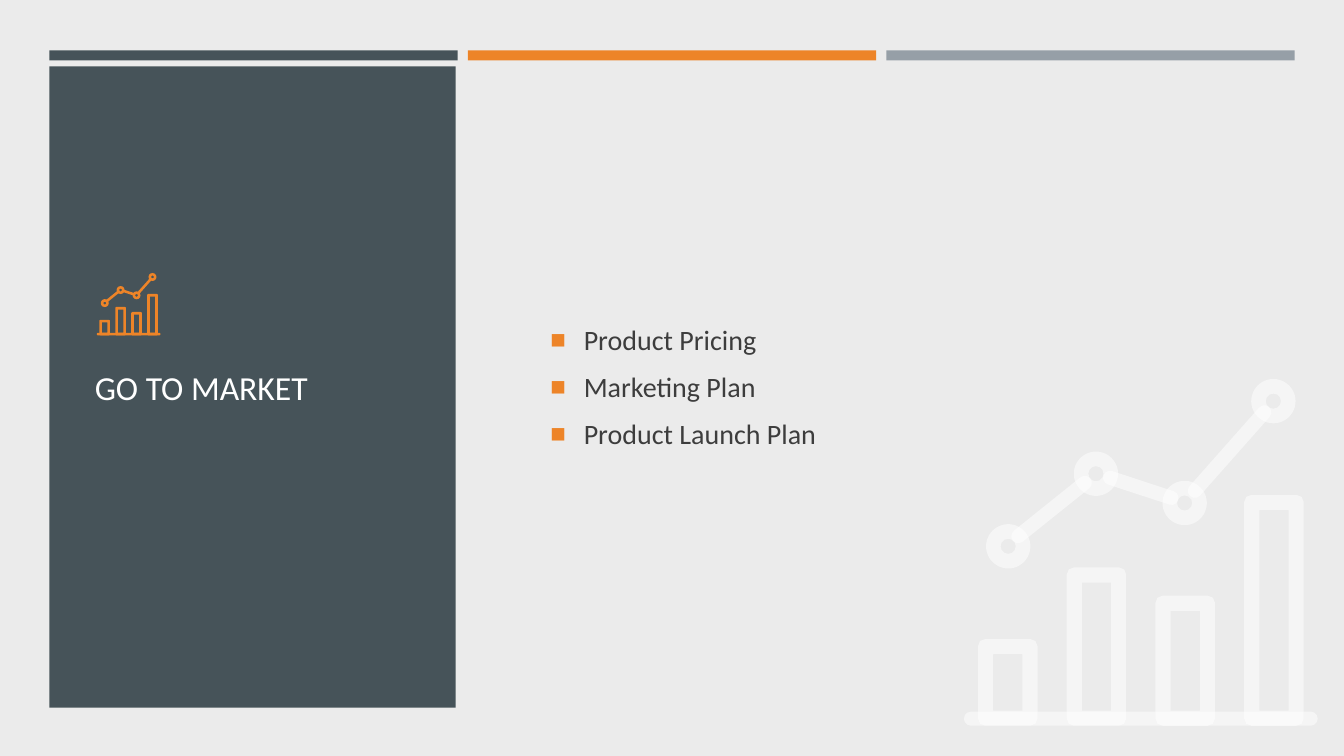
from math import atan2, degrees, dist

from lxml import etree
from pptx import Presentation
from pptx.dml.color import RGBColor
from pptx.enum import shapes, text
from pptx.oxml import ns
from pptx.util import Inches, Pt

TITLE = "GO TO MARKET"
ITEMS = ["Product Pricing", "Marketing Plan", "Product Launch Plan"]
FONT = "Calibri"
SLATE, ORANGE, GRAY = "465359", "ED8428", "969FA7"
WHITE, INK, PAPER = "FFFFFF", "3D3D3D", "EBEBEB"

BANDS = [SLATE, ORANGE, GRAY]
BAND_LEFT, BAND_WIDTH, BAND_STEP = 0.49, 4.05, 4.15
PANEL = (0.49, 0.66, 4.03, 6.36)
TITLE_BOX = (0.84, 2.9, 3.32, 1.88)
BODY_BOX = (5.36, 1.29, 7.27, 5.09)

BAR_TOPS = [2.57, 1.86, 2.14, 1.14]
BAR_LEFT, BAR_STEP, BAR_WIDTH, BAR_BOTTOM = 0.14, 0.88, 0.59, 3.43
WALL, CORNER, BEVEL = 0.15, 0.07, 0.02
NODES = [(0.44, 1.65), (1.31, 0.93), (2.19, 1.22), (3.07, 0.21)]
NODE_SIZE, RING = 0.44, 0.33
STROKE = 0.14
STROKES = [
    ((0.07, 3.36), (3.44, 3.36)),
    ((0.54, 1.55), (1.2, 1.02)),
    ((1.45, 0.97), (2.06, 1.17)),
    ((2.29, 1.1), (2.98, 0.32)),
]
ICONS = [
    dict(left=0.96, top=2.71, scale=0.18, color=ORANGE, alpha=100),
    dict(left=9.56, top=3.77, scale=1, color=WHITE, alpha=50),
]


def rgb(color):
    return RGBColor.from_string(color)


def add_xml(parent, tag, **attrs):
    return etree.SubElement(parent, ns.qn(tag), attrs)


def paint(sp, color, alpha=100):
    sp.shadow.inherit = False
    sp.fill.solid()
    sp.fill.fore_color.rgb = rgb(color)
    sp.line.fill.background()
    if alpha < 100:
        fill = sp._element.spPr.find(ns.qn("a:solidFill"))
        add_xml(fill[0], "a:alpha", val=str(alpha * 1000))


def add_block(s, box, color):
    sp = s.shapes.add_shape(shapes.MSO_SHAPE.RECTANGLE, *map(Inches, box))
    paint(sp, color)


def rectangle(left, top, right, bottom):
    return [(left, top), (right, top), (right, bottom), (left, bottom)]


def rounded(left, top, right, bottom):
    r, b = CORNER, BEVEL
    return [
        (left, top + r), (left + b, top + b), (left + r, top),
        (right - r, top), (right - b, top + b), (right, top + r),
        (right, bottom - r), (right - b, bottom - b), (right - r, bottom),
        (left + r, bottom), (left + b, bottom - b), (left, bottom - r),
    ]


def add_icon(s, left, top, scale, color, alpha):
    group = s.shapes.add_group_shape()

    def spot(x, y):
        return Inches(left + x * scale), Inches(top + y * scale)

    def add_centered(preset, x, y, width, height, adjustment):
        size = Inches(width * scale), Inches(height * scale)
        sp = group.shapes.add_shape(preset, *spot(x - width / 2, y - height / 2), *size)
        sp.adjustments[0] = adjustment
        paint(sp, color, alpha)
        return sp

    for start, end in STROKES:
        x, y = ((a + b) / 2 for a, b in zip(start, end))
        length = dist(start, end) + STROKE
        sp = add_centered(shapes.MSO_SHAPE.ROUNDED_RECTANGLE, x, y, length, STROKE, 0.5)
        sp.rotation = degrees(atan2(end[1] - start[1], end[0] - start[0]))

    for i, bar_top in enumerate(BAR_TOPS):
        x = BAR_LEFT + i * BAR_STEP
        right = x + BAR_WIDTH
        outer = rounded(x, bar_top, right, BAR_BOTTOM)
        inner = rectangle(x + WALL, bar_top + WALL, right - WALL, BAR_BOTTOM - WALL)
        builder = group.shapes.build_freeform(*spot(*outer[0]))
        builder.add_line_segments([spot(*point) for point in outer[1:]])
        builder.move_to(*spot(*inner[0]))
        builder.add_line_segments([spot(*point) for point in inner[1:]])
        paint(builder.convert_to_shape(), color, alpha)

    for node in NODES:
        add_centered(shapes.MSO_SHAPE.DONUT, *node, NODE_SIZE, NODE_SIZE, RING)


def place(sp, box):
    sp.left, sp.top, sp.width, sp.height = map(Inches, box)
    tree = sp._element.getparent()
    tree.append(sp._element)
    tf = sp.text_frame
    tf.word_wrap = True
    tf.auto_size = text.MSO_AUTO_SIZE.NONE
    tf.vertical_anchor = text.MSO_ANCHOR.MIDDLE
    return tf


def style(p, size, color):
    p.alignment = text.PP_ALIGN.LEFT
    p.font.name = FONT
    p.font.size = Pt(size)
    p.font.color.rgb = rgb(color)


def add_bullet(p):
    pPr = p._p.get_or_add_pPr()
    pPr.set("marL", str(Inches(0.33)))
    pPr.set("indent", str(-Inches(0.33)))
    add_xml(add_xml(pPr, "a:buClr"), "a:srgbClr", val=ORANGE)
    add_xml(pPr, "a:buSzPct", val="92000")
    add_xml(pPr, "a:buFont", typeface="Arial")
    add_xml(pPr, "a:buChar", char="■")


def main():
    prs = Presentation()
    prs.slide_width, prs.slide_height = Inches(13.33), Inches(7.5)
    s = prs.slides.add_slide(prs.slide_layouts[1])
    s.background.fill.solid()
    s.background.fill.fore_color.rgb = rgb(PAPER)

    for i, color in enumerate(BANDS):
        add_block(s, (BAND_LEFT + i * BAND_STEP, 0.5, BAND_WIDTH, 0.1), color)
    add_block(s, PANEL, SLATE)

    tf = place(s.placeholders[1], BODY_BOX)
    tf.text = "\n".join(ITEMS)
    for i, p in enumerate(tf.paragraphs):
        add_bullet(p)
        p.space_before = Pt(3.5 if i else 0)
        p.space_after = Pt(6)
        style(p, 20, INK)

    tf = place(s.shapes.title, TITLE_BOX)
    tf.text = TITLE
    style(tf.paragraphs[0], 24, WHITE)

    for icon in ICONS:
        add_icon(s, **icon)
    prs.save("out.pptx")


if __name__ == "__main__":
    main()
